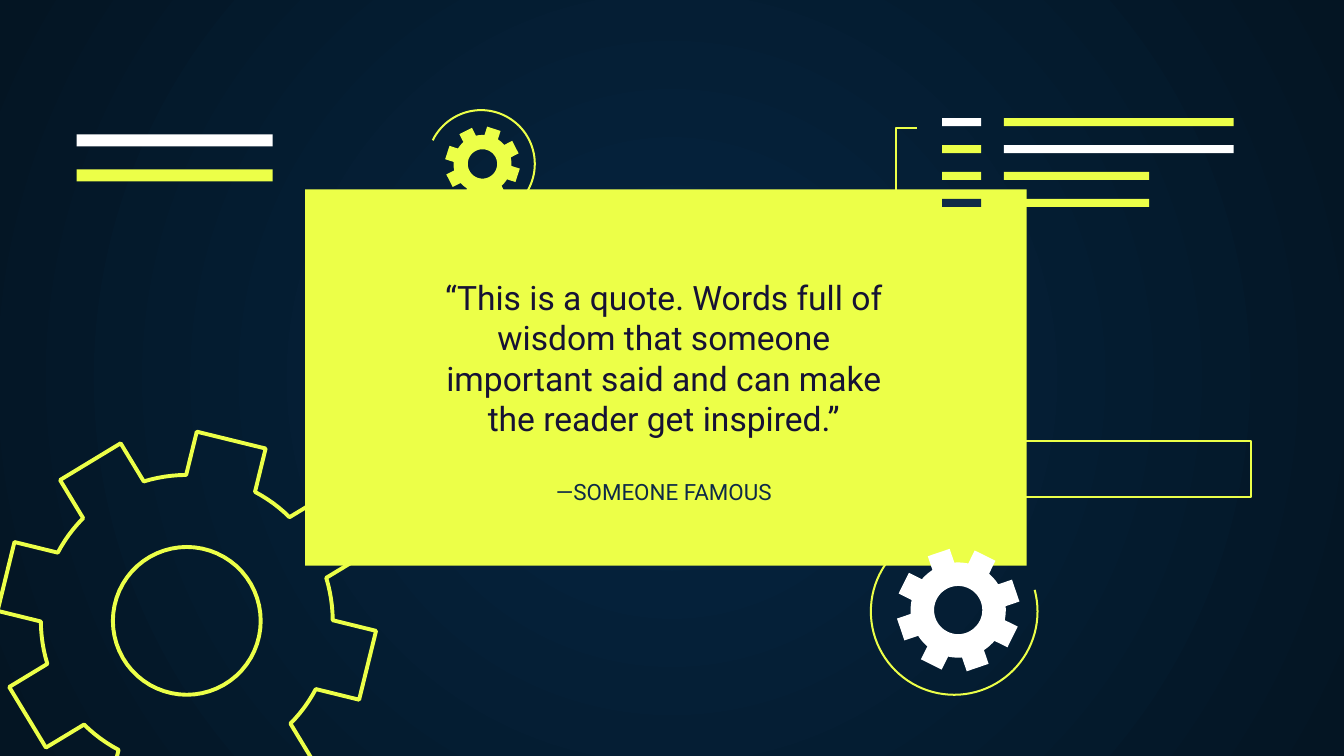
from math import asin, cos, radians, sin

from lxml import etree
from pptx import Presentation
from pptx import util as u
from pptx.dml.color import RGBColor
from pptx.enum import shapes, text
from pptx.oxml.ns import qn

LIME, WHITE, NAVY, INK = "ECFF48", "FFFFFF", "0E2A47", "161234"
KIND = shapes.MSO_SHAPE


def paint(shape, fill=None, line=None, width=1.09):
    """Give a shape a flat fill, an outline, or neither."""
    shape.shadow.inherit = False
    if fill:
        shape.fill.solid()
        shape.fill.fore_color.rgb = RGBColor.from_string(fill)
    else:
        shape.fill.background()
    if line:
        shape.line.color.rgb = RGBColor.from_string(line)
        shape.line.width = u.Pt(width)
    else:
        shape.line.fill.background()


def backdrop(slide, inner, outer):
    """Fill the slide with a gradient that spreads from its centre."""
    fill = slide.background.fill
    fill.gradient()
    for stop, color, place in zip(fill.gradient_stops, (inner, outer), (0, 1)):
        stop.color.rgb = RGBColor.from_string(color)
        stop.position = place
    grad = slide.element.find(".//" + qn("a:gradFill"))
    for lin in grad.findall(qn("a:lin")):
        grad.remove(lin)
    glow = etree.SubElement(grad, qn("a:path"), path="circle")
    etree.SubElement(glow, qn("a:fillToRect"), l="50000", t="50000", r="50000", b="50000")


def box(slide, left, top, width, height, fill=None, line=None):
    """Add a rectangle."""
    shape = slide.shapes.add_shape(KIND.RECTANGLE, *map(u.Inches, (left, top, width, height)))
    paint(shape, fill, line)


def ring(slide, x, y, radius, start, end):
    """Add a thin clockwise arc around a centre."""
    size = u.Inches(2 * radius)
    arc = slide.shapes.add_shape(KIND.ARC, u.Inches(x - radius), u.Inches(y - radius), size, size)
    arc.adjustments[0] = start * 0.6
    arc.adjustments[1] = end * 0.6
    paint(arc, line=LIME)


def gear(slide, x, y, radius, turn, **look):
    """Add an eight-toothed gear with a round hole."""
    body, half, hole = 0.77 * radius, 0.187 * radius, 0.39 * radius

    def spot(reach, angle):
        return u.Inches(x + reach * cos(angle)), u.Inches(y + reach * sin(angle))

    rim, tip = asin(half / body), asin(half / radius)
    gap = radians(45) - 2 * rim
    edge = []
    for tooth in range(8):
        mid = radians(turn + 45 * tooth)
        edge += [spot(body, mid - rim), spot(radius, mid - tip), spot(radius, mid + tip)]
        edge += [spot(body, mid + rim + gap * step / 6) for step in range(6)]
    inner = [spot(hole, radians(-6 * step)) for step in range(60)]
    path = slide.shapes.build_freeform(*edge[0])
    path.add_line_segments(edge[1:], close=True)
    path.move_to(*inner[0])
    path.add_line_segments(inner[1:], close=True)
    paint(path.convert_to_shape(), **look)


def code(slide, left, top):
    """Add the rows of bars and the bracket beside them."""
    rows = [(WHITE, LIME, 1.71), (LIME, WHITE, 1.71), (LIME, LIME, 1.08), (NAVY, LIME, 1.08)]
    for row, (mark, color, width) in enumerate(rows):
        level = top + 0.2 * row
        box(slide, left + 0.34, level, 0.29, 0.06, mark)
        box(slide, left + 0.8, level, width, 0.06, color)
    points = [(0.15, 0.68), (0, 0.68), (0, 0.07), (0.15, 0.07)]
    points = [(u.Inches(left + x), u.Inches(top + y)) for x, y in points]
    path = slide.shapes.build_freeform(*points[0])
    path.add_line_segments(points[1:], close=False)
    paint(path.convert_to_shape(), line=LIME)


def write(slide, holder, area, words, size, color, anchor):
    """Move a placeholder to the front and set its centred text."""
    slide.shapes.element.append(holder.element)
    holder.left, holder.top, holder.width, holder.height = map(u.Inches, area)
    frame = holder.text_frame
    frame.text = words
    frame.word_wrap = True
    frame.auto_size = text.MSO_AUTO_SIZE.NONE
    frame.vertical_anchor = anchor
    frame.margin_left = frame.margin_right = u.Inches(0.1)
    frame.margin_top = frame.margin_bottom = u.Inches(0.1)
    para = frame.paragraphs[0]
    para.alignment = text.PP_ALIGN.CENTER
    para.space_before = u.Pt(0)
    para.line_spacing = 1.0
    font = para.runs[0].font
    font.name, font.size = "Roboto", u.Pt(size)
    font.color.rgb = RGBColor.from_string(color)


def quote(slide, left, top):
    """Place the quote and its author on the card."""
    write(slide, slide.shapes.title, (left + 0.74, top + 0.33, 3.86, 2.12),
          "—SOMEONE FAMOUS", 12, NAVY, text.MSO_ANCHOR.BOTTOM)
    write(slide, slide.placeholders[1], (left + 0.78, top + 0.55, 3.78, 1.55),
          "“This is a quote. Words full of wisdom that someone important said "
          "and can make the reader get inspired.”", 18, INK, text.MSO_ANCHOR.TOP)


def main():
    """Build and save the quote slide."""
    deck = Presentation()
    deck.slide_width = u.Inches(10)
    deck.slide_height = u.Inches(10 * 9 / 16)
    slide = deck.slides.add_slide(deck.slide_layouts[0])
    backdrop(slide, "052643", "041523")
    box(slide, 2.27, 1.41, 5.37, 2.8, LIME)
    ring(slide, 3.58, 1.22, 0.4, 206, 96)
    ring(slide, 7.1, 4.55, 0.62, 345, 233)
    gear(slide, 1.39, 4.62, 1.41, 13.8, line=LIME, width=2.1)
    gear(slide, 7.13, 4.54, 0.46, 26.3, fill=WHITE)
    gear(slide, 3.59, 1.22, 0.28, 18, fill=LIME)
    code(slide, 6.67, 0.88)
    for top, color in ((1, WHITE), (1.26, LIME)):
        box(slide, 0.57, top, 1.46, 0.09, color)
    box(slide, 7.2, 3.28, 2.11, 0.42, line=LIME)
    quote(slide, 2.27, 1.41)
    deck.save("out.pptx")


if __name__ == "__main__":
    main()
